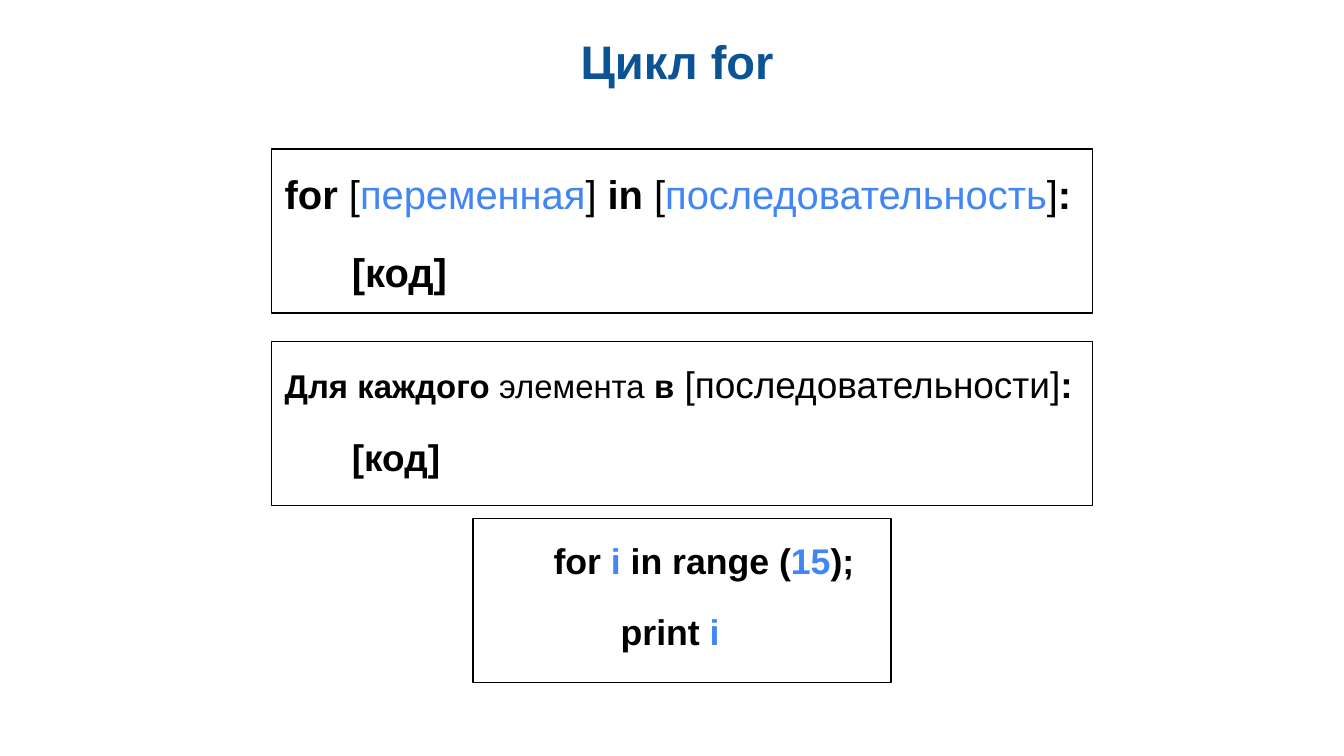
from pptx import Presentation
from pptx.dml.color import RGBColor
from pptx.enum.shapes import MSO_SHAPE
from pptx.enum.text import MSO_ANCHOR, PP_ALIGN
from pptx.util import Inches, Pt

RECTANGLE = MSO_SHAPE.RECTANGLE
TOP, BOTTOM = MSO_ANCHOR.TOP, MSO_ANCHOR.BOTTOM
LEFT, CENTER = PP_ALIGN.LEFT, PP_ALIGN.CENTER
BLACK, WHITE, NAVY, BLUE = "000000", "FFFFFF", "0B5394", "4285F4"
FONT = "Arial"
SLIDE_WIDTH = 10
SLIDE_HEIGHT = SLIDE_WIDTH * 9 / 16
PANEL_HEIGHT = 1.22


def color(value):
    return RGBColor.from_string(value)


def set_attributes(target, values):
    for name, value in values.items():
        setattr(target, name, value)


def prepare_frame(shape, anchor):
    frame = shape.text_frame
    margins = {f"margin_{side}": Inches(0.1) for side in ("left", "top", "right", "bottom")}
    set_attributes(frame, {"word_wrap": True, "vertical_anchor": anchor, **margins})
    return frame


def add_spans(para, spans, size):
    """Add (text, bold, color) spans; an optional fourth item overrides the size."""
    for text, bold, hue, *own_size in spans:
        span = para.add_run()
        span.text = text
        points = own_size[0] if own_size else size
        set_attributes(span.font, {"name": FONT, "size": Pt(points), "bold": bold})
        span.font.color.rgb = color(hue)


def add_title(page, box, text):
    shape = page.shapes.add_textbox(*map(Inches, box))
    para = prepare_frame(shape, BOTTOM).paragraphs[0]
    para.alignment = CENTER
    add_spans(para, [(text, True, NAVY)], 25.2)


def add_code_panel(page, box, size, lines):
    """Draw a framed panel from (first-line indent, spans) lines."""
    panel = page.shapes.add_shape(RECTANGLE, *map(Inches, box))
    panel.shadow.inherit = False
    panel.fill.solid()
    panel.fill.fore_color.rgb = color(WHITE)
    panel.line.color.rgb = color(BLACK)
    panel.line.width = Pt(0.75)
    frame = prepare_frame(panel, TOP)
    for index, (indent, spans) in enumerate(lines):
        para = frame.add_paragraph() if index else frame.paragraphs[0]
        gap = Pt(12 if index else 0)
        set_attributes(para, {"alignment": LEFT, "line_spacing": 1.15,
                              "space_before": gap, "space_after": gap})
        properties = para._p.get_or_add_pPr()
        properties.set("marL", "0")
        properties.set("indent", str(Inches(indent)))
        add_spans(para, spans, size)


def main():
    deck = Presentation()
    deck.slide_width, deck.slide_height = Inches(SLIDE_WIDTH), Inches(SLIDE_HEIGHT)
    page = deck.slides.add_slide(deck.slide_layouts[6])
    add_title(page, (0.21, 0.13, 9.56, 0.63), " Цикл for")

    code_line = (0.5, [("[код]", True, BLACK)])
    syntax = [
        ("for ", True, BLACK), ("[", False, BLACK), ("переменная", False, BLUE),
        ("]", False, BLACK), (" in ", True, BLACK), ("[", False, BLACK),
        ("последовательность", False, BLUE), ("]", False, BLACK), (":", True, BLACK),
    ]
    meaning = [
        ("Для каждого", True, BLACK, 17.6), (" элемента ", False, BLACK, 17.6),
        ("в", True, BLACK, 17.6), (" ", True, BLACK),
        ("[последовательности]", False, BLACK), (":", True, BLACK),
    ]
    example = [
        ("for ", True, BLACK), ("i", True, BLUE), (" in range (", True, BLACK),
        ("15", True, BLUE), (");", True, BLACK),
    ]
    output = [("print ", True, BLACK), ("i", True, BLUE)]

    panels = [
        (2.02, 1.11, 6.11, 21.4, [(0, syntax), code_line]),
        (2.02, 2.54, 6.11, 19.8, [(0, meaning), code_line]),
        (3.52, 3.86, 3.11, 19.1, [(0.5, example), (1, output)]),
    ]
    for left, top, width, size, lines in panels:
        add_code_panel(page, (left, top, width, PANEL_HEIGHT), size, lines)
    deck.save("out.pptx")


if __name__ == "__main__":
    main()
